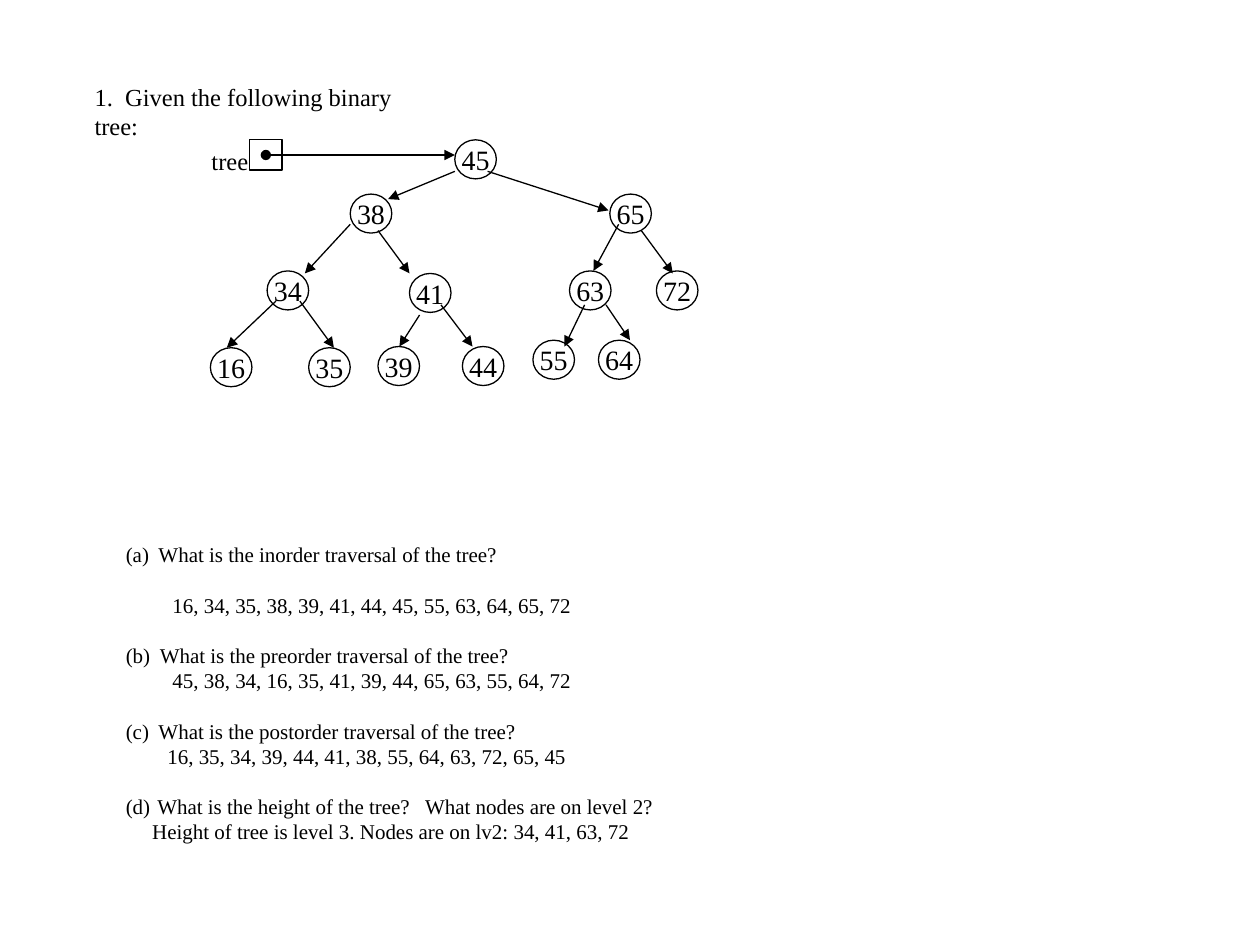
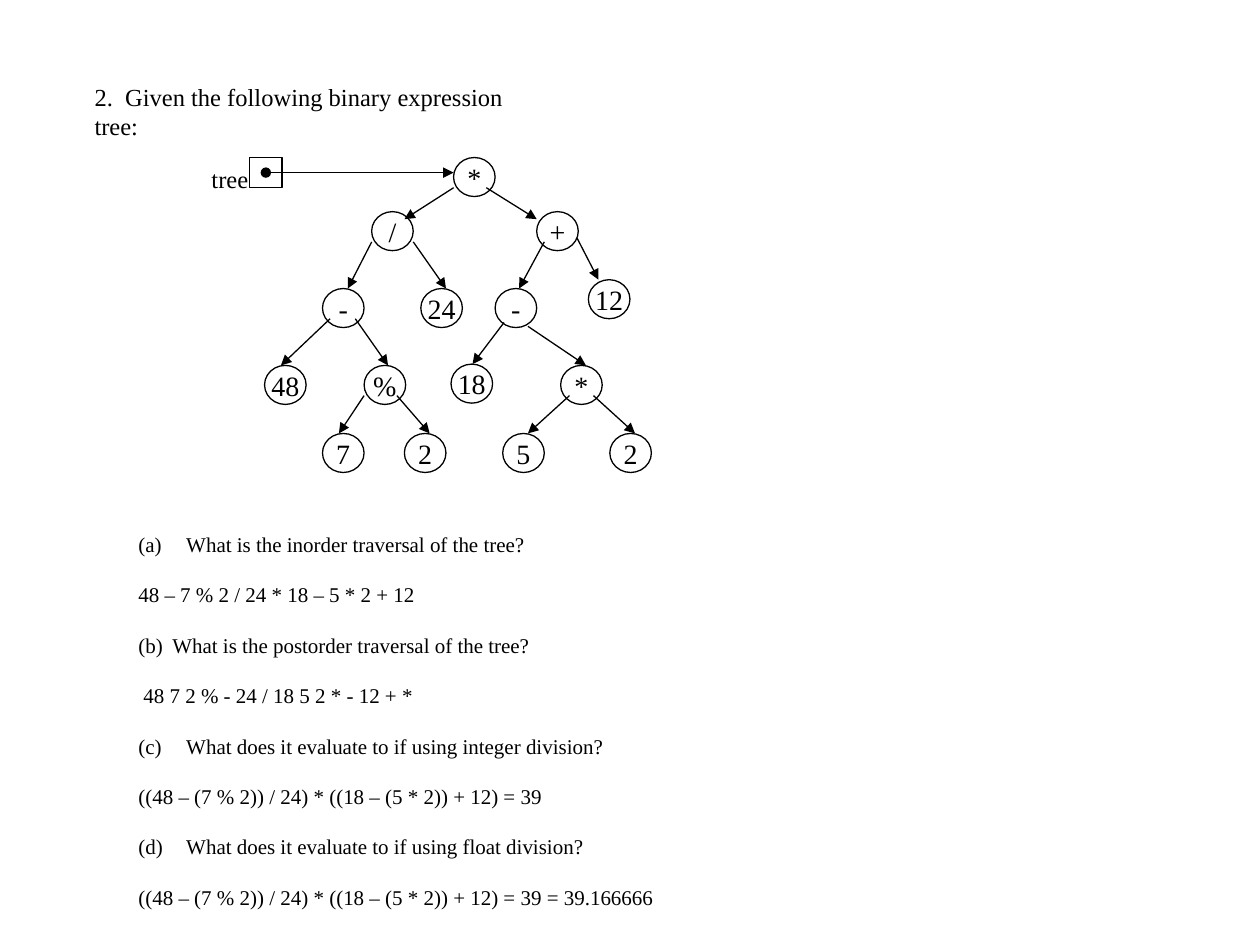
from dataclasses import dataclass
from typing import Optional

from lxml.etree import SubElement
from pptx import Presentation
from pptx.dml.color import RGBColor
from pptx.enum.shapes import MSO_CONNECTOR, MSO_SHAPE
from pptx.enum.text import MSO_ANCHOR, MSO_AUTO_SIZE, PP_ALIGN
from pptx.oxml.ns import qn
from pptx.util import Inches, Pt


@dataclass(frozen=True)
class Theme:
    font: str = "Times New Roman"
    ink: RGBColor = RGBColor(0, 0, 0)
    heading: int = 14
    node: int = 16
    body: int = 12
    line: float = 0.75
    leading: float = 1.2


THEME = Theme()
NODE_W, NODE_H = 0.33, 0.31
BOX_W, BOX_H = 0.26, 0.24
BOX_LEFT, LABEL_LEFT = 1.98, 1.58


@dataclass(frozen=True)
class Arrow:
    x1: float
    y1: float
    x2: float
    y2: float


@dataclass(frozen=True)
class Node:
    label: str
    left: float
    top: float
    arrow: Optional[Arrow] = None  # arrow arriving from the parent


@dataclass(frozen=True)
class Question:
    ask: str
    answer: str
    ask_indent: float
    answer_indent: float
    gap_between: bool


@dataclass(frozen=True)
class Exercise:
    heading: str
    heading_width: float
    body: tuple[float, float, float, float]
    nodes: list[Node]  # root first
    questions: list[Question]


SEARCH_TREE = Exercise(
    "1.  Given the following binary tree:", 2.9, (0.9, 4.25, 4.63, 2.73),
    [
        Node("45", 3.61, 1.11),
        Node("38", 2.78, 1.54, Arrow(3.61, 1.36, 3.08, 1.58)),
        Node("65", 4.84, 1.54, Arrow(3.87, 1.36, 4.83, 1.67)),
        Node("34", 2.12, 2.15, Arrow(2.78, 1.78, 2.42, 2.17)),
        Node("41", 3.25, 2.17, Arrow(3, 1.83, 3.25, 2.17)),
        Node("63", 4.52, 2.15, Arrow(4.91, 1.78, 4.71, 2.15)),
        Node("72", 5.21, 2.15, Arrow(5.09, 1.83, 5.34, 2.17)),
        Node("16", 1.67, 2.76, Arrow(2.19, 2.39, 1.8, 2.76)),
        Node("35", 2.45, 2.76, Arrow(2.38, 2.39, 2.65, 2.76)),
        Node("39", 3, 2.75, Arrow(3.33, 2.5, 3.17, 2.75)),
        Node("44", 3.67, 2.75, Arrow(3.5, 2.42, 3.75, 2.75)),
        Node("55", 4.23, 2.7, Arrow(4.64, 2.42, 4.48, 2.75)),
        Node("64", 4.75, 2.7, Arrow(4.81, 2.42, 5, 2.7)),
    ],
    [
        Question("What is the inorder traversal of the tree?",
                 "16, 34, 35, 38, 39, 41, 44, 45, 55, 63, 64, 65, 72",
                 0.26, 0.37, True),
        Question("What is the preorder traversal of the tree?",
                 "45, 38, 34, 16, 35, 41, 39, 44, 65, 63, 55, 64, 72",
                 0.27, 0.37, False),
        Question("What is the postorder traversal of the tree?",
                 "16, 35, 34, 39, 44, 41, 38, 55, 64, 63, 72, 65, 45",
                 0.26, 0.33, False),
        Question("What is the height of the tree?   What nodes are on level 2?",
                 "Height of tree is level 3. Nodes are on lv2: 34, 41, 63, 72",
                 0.25, 0.21, False),
    ],
)

EXPRESSION_TREE = Exercise(
    "2.  Given the following binary expression tree:", 3.75, (1, 4.17, 4.33, 3.33),
    [
        Node("*", 3.6, 1.25),
        Node("/", 2.95, 1.68, Arrow(3.6, 1.49, 3.21, 1.74)),
        Node("+", 4.26, 1.68, Arrow(3.86, 1.49, 4.26, 1.74)),
        Node("-", 2.56, 2.29, Arrow(2.95, 1.92, 2.76, 2.29)),
        Node("24", 3.34, 2.29, Arrow(3.28, 1.92, 3.54, 2.29)),
        Node("-", 3.93, 2.29, Arrow(4.32, 1.92, 4.12, 2.29)),
        Node("12", 4.67, 2.22, Arrow(4.58, 1.89, 4.75, 2.22)),
        Node("48", 2.1, 2.9, Arrow(2.62, 2.53, 2.23, 2.9)),
        Node("%", 2.89, 2.9, Arrow(2.82, 2.53, 3.08, 2.9)),
        Node("18", 3.58, 2.89, Arrow(4, 2.56, 3.75, 2.89)),
        Node("*", 4.45, 2.9, Arrow(4.19, 2.59, 4.65, 2.9)),
        Node("7", 2.56, 3.44, Arrow(2.89, 3.14, 2.69, 3.44)),
        Node("2", 3.21, 3.44, Arrow(3.15, 3.14, 3.41, 3.44)),
        Node("5", 3.99, 3.44, Arrow(4.52, 3.14, 4.19, 3.44)),
        Node("2", 4.84, 3.44, Arrow(4.71, 3.14, 5.04, 3.44)),
    ],
    [
        Question("What is the inorder traversal of the tree?",
                 "48 – 7 % 2 / 24 * 18 – 5 * 2 + 12", 0.38, 0, True),
        Question("What is the postorder traversal of the tree?",
                 "48 7 2 % - 24 / 18 5 2 * - 12 + *", 0.27, 0.04, True),
        Question("What does it evaluate to if using integer division?",
                 "((48 – (7 % 2)) / 24) * ((18 – (5 * 2)) + 12) = 39", 0.38, 0, True),
        Question("What does it evaluate to if using float division?",
                 "((48 – (7 % 2)) / 24) * ((18 – (5 * 2)) + 12) = 39 = 39.166666",
                 0.38, 0, True),
    ],
)


def style_text(p, size: int) -> None:
    for r in p.runs:
        r.font.name = THEME.font
        r.font.size = Pt(size)
        r.font.color.rgb = THEME.ink


def outline(s) -> None:
    s.line.color.rgb = THEME.ink
    s.line.width = Pt(THEME.line)


def add_heading(slide, text: str, width: float) -> None:
    sp = slide.shapes.title
    sp.left, sp.top = Inches(0.65), Inches(0.6)
    sp.width, sp.height = Inches(width), Inches(0.6)
    tf = sp.text_frame
    tf.text = text
    tf.word_wrap = True
    tf.auto_size = MSO_AUTO_SIZE.NONE
    tf.vertical_anchor = MSO_ANCHOR.TOP
    p = tf.paragraphs[0]
    p.alignment = PP_ALIGN.LEFT
    p.line_spacing = Pt(THEME.heading * THEME.leading)
    style_text(p, THEME.heading)


def add_outline_shape(slide, kind: MSO_SHAPE, left: float, top: float,
                      width: float, height: float):
    s = slide.shapes.add_shape(kind, Inches(left), Inches(top), Inches(width), Inches(height))
    s.shadow.inherit = False
    s.fill.background()
    outline(s)
    return s


def add_node(slide, node: Node) -> None:
    s = add_outline_shape(slide, MSO_SHAPE.OVAL, node.left, node.top, NODE_W, NODE_H)
    tf = s.text_frame
    tf.text = node.label
    tf.word_wrap = False
    tf.vertical_anchor = MSO_ANCHOR.MIDDLE
    p = tf.paragraphs[0]
    p.alignment = PP_ALIGN.CENTER
    style_text(p, THEME.node)


def add_arrow(slide, a: Arrow, dot_start: bool = False) -> None:
    s = slide.shapes.add_connector(MSO_CONNECTOR.STRAIGHT, Inches(a.x1), Inches(a.y1),
                                   Inches(a.x2), Inches(a.y2))
    outline(s)
    ln = s.line._get_or_add_ln()
    if dot_start:
        SubElement(ln, qn("a:headEnd"), type="oval")
    SubElement(ln, qn("a:tailEnd"), type="triangle")
    SubElement(ln.getparent(), qn("a:effectLst"))


def add_root_pointer(slide, root: Node) -> None:
    """The labelled box whose arrow leads to the root."""
    add_outline_shape(slide, MSO_SHAPE.RECTANGLE, BOX_LEFT, root.top, BOX_W, BOX_H)
    label = slide.shapes.add_textbox(Inches(LABEL_LEFT), Inches(root.top),
                                     Inches(0.49), Inches(0.33))
    tf = label.text_frame
    tf.text = "tree"
    tf.word_wrap = False
    style_text(tf.paragraphs[0], THEME.heading)
    y = root.top + BOX_H / 2
    add_arrow(slide, Arrow(BOX_LEFT + BOX_W / 2, y, root.left, y), dot_start=True)


def indent(p, left: float, number: Optional[int] = None) -> None:
    """Indent a paragraph; with a number, hang a lettered marker before it."""
    pPr = p._p.get_or_add_pPr()
    pPr.set("marL", str(Inches(left)))
    pPr.set("indent", str(-Inches(left) if number else 0))
    if number:
        SubElement(pPr, qn("a:buFont"), typeface=THEME.font)
        SubElement(pPr, qn("a:buAutoNum"), type="alphaLcParenBoth", startAt=str(number))


def add_questions(slide, ex: Exercise) -> None:
    tf = slide.shapes.add_textbox(*map(Inches, ex.body)).text_frame
    tf.word_wrap = True
    pitch = Pt(THEME.body * THEME.leading)
    p = tf.paragraphs[0]
    for i, q in enumerate(ex.questions, start=1):
        if i > 1:
            p = tf.add_paragraph()
        answer = tf.add_paragraph()
        p.text, answer.text = q.ask, q.answer
        p.space_after = pitch if q.gap_between else Pt(0)
        answer.space_after = pitch if i < len(ex.questions) else Pt(0)
        for para in (p, answer):
            para.line_spacing = pitch
            style_text(para, THEME.body)
        indent(p, q.ask_indent, i)
        indent(answer, q.answer_indent)


def add_exercise(prs, ex: Exercise) -> None:
    slide = prs.slides.add_slide(prs.slide_layouts[5])
    add_heading(slide, ex.heading, ex.heading_width)
    add_questions(slide, ex)
    # Tree diagram
    add_root_pointer(slide, ex.nodes[0])
    for node in ex.nodes:
        add_node(slide, node)
        if node.arrow:
            add_arrow(slide, node.arrow)


def main() -> None:
    prs = Presentation()
    prs.slide_width, prs.slide_height = Inches(10), Inches(7.5)
    for ex in (SEARCH_TREE, EXPRESSION_TREE):
        add_exercise(prs, ex)
    prs.save("out.pptx")


if __name__ == "__main__":
    main()
